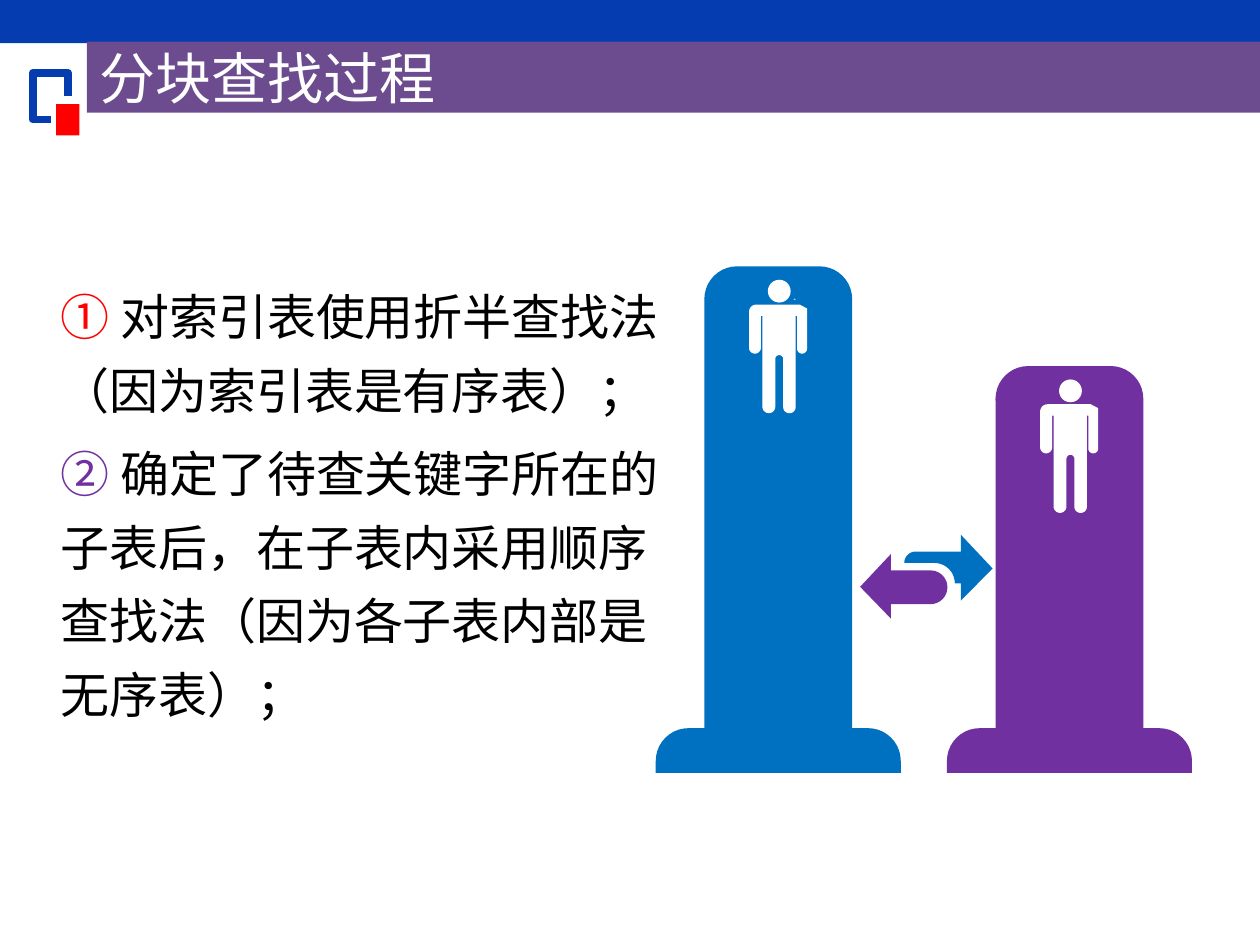
import math
from dataclasses import dataclass

from pptx import Presentation
from pptx import util as u
from pptx.dml.color import RGBColor
from pptx.enum import shapes, text


@dataclass(frozen=True)
class Theme:
    font: str = "Calibri"
    title_size: int = 32
    body_size: int = 28
    mark_width: float = 4.5
    line_spacing: float = 1.25
    paragraph_gap: float = 5.6
    navy: str = "053CAF"
    red: str = "FF0000"
    plum: str = "6C4C8F"
    blue: str = "0070C0"
    purple: str = "7030A0"
    white: str = "FFFFFF"
    black: str = "000000"


def rounded(corners, steps=10):
    """Turn (x, y, radius) corners into outline points with quarter arcs."""
    points = []
    for i, (x, y, radius) in enumerate(corners):
        if not radius:
            points.append((x, y))
            continue
        ends = []
        for nx, ny, _ in (corners[i - 1], corners[(i + 1) % len(corners)]):
            part = radius / math.dist((x, y), (nx, ny))
            ends.append((x + (nx - x) * part, y + (ny - y) * part))
        (sx, sy), (ex, ey) = ends
        for step in range(steps + 1):
            angle = math.pi / 2 * step / steps
            c, s = math.cos(angle), math.sin(angle)
            points.append((sx + ex - x + (x - ex) * c + (x - sx) * s,
                           sy + ey - y + (y - ey) * c + (y - sy) * s))
    return points


class SlideBuilder:
    def __init__(self, slide, theme):
        self.slide = slide
        self.theme = theme

    def paint(self, shape, color):
        shape.shadow.inherit = False
        shape.fill.solid()
        shape.fill.fore_color.rgb = RGBColor.from_string(color)
        shape.line.fill.background()

    def style_run(self, run, size, color):
        run.font.name = self.theme.font
        run.font.size = u.Pt(size)
        run.font.color.rgb = RGBColor.from_string(color)

    def preset(self, kind, left, top, width, height, color):
        shape = self.slide.shapes.add_shape(
            kind, u.Cm(left), u.Cm(top), u.Cm(width), u.Cm(height))
        self.paint(shape, color)
        return shape

    def rectangle(self, *box, color):
        return self.preset(shapes.MSO_SHAPE.RECTANGLE, *box, color)

    def circle(self, left, top, diameter, color):
        return self.preset(shapes.MSO_SHAPE.OVAL, left, top, diameter, diameter, color)

    def trace(self, points, close):
        emu = [(u.Cm(x), u.Cm(y)) for x, y in points]
        builder = self.slide.shapes.build_freeform(*emu[0])
        builder.add_line_segments(emu[1:], close=close)
        return builder.convert_to_shape()

    def outline(self, corners, color, left=0, top=0):
        points = [(left + x, top + y) for x, y in rounded(corners)]
        self.paint(self.trace(points, True), color)

    def stroke(self, points, color, width):
        shape = self.trace(points, False)
        shape.shadow.inherit = False
        shape.fill.background()
        shape.line.color.rgb = RGBColor.from_string(color)
        shape.line.width = u.Pt(width)

    def title(self, wording, *box):
        band = self.rectangle(*box, color=self.theme.plum)
        frame = band.text_frame
        frame.text = wording
        frame.vertical_anchor = text.MSO_ANCHOR.MIDDLE
        frame.paragraphs[0].alignment = text.PP_ALIGN.LEFT
        self.style_run(frame.paragraphs[0].runs[0], self.theme.title_size, self.theme.white)

    def steps(self, items, left, top, width, height):
        box = self.slide.shapes.add_textbox(
            u.Cm(left), u.Cm(top), u.Cm(width), u.Cm(height))
        frame = box.text_frame
        frame.word_wrap = True
        frame.auto_size = text.MSO_AUTO_SIZE.SHAPE_TO_FIT_TEXT
        for i, (number, color, wording) in enumerate(items):
            paragraph = frame.add_paragraph() if i else frame.paragraphs[0]
            paragraph.line_spacing = self.theme.line_spacing
            if i:
                paragraph.space_before = u.Pt(self.theme.paragraph_gap)
            for part, shade in ((number, color), (wording, self.theme.black)):
                run = paragraph.add_run()
                run.text = part
                self.style_run(run, self.theme.body_size, shade)

    def tower(self, left, top, color):
        base_top, bottom, width, inset, radius = 14.68, 15.58, 4.94, 0.98, 0.66
        right = left + width
        self.outline([
            (left, bottom, 0), (left, base_top, radius),
            (left + inset, base_top, 0), (left + inset, top, radius),
            (right - inset, top, radius), (right - inset, base_top, 0),
            (right, base_top, radius), (right, bottom, 0),
        ], color)

    def person(self, left, top):
        self.circle(left + 0.38, top, 0.46, self.theme.white)
        self.outline([
            # Shoulders and right arm
            (0, 0, 0.15), (1.02, 0, 0), (1.17, 0.08, 0),
            (1.17, 0.99, 0.1), (0.97, 0.99, 0.1), (0.97, 0.23, 0),
            # Legs
            (0.94, 0.23, 0), (0.94, 2.19, 0.12), (0.69, 2.19, 0.12),
            (0.69, 1.02, 0.08), (0.53, 1.02, 0.08),
            (0.53, 2.19, 0.13), (0.27, 2.19, 0.13), (0.27, 0.23, 0),
            # Left arm
            (0.24, 0.23, 0), (0.24, 0.99, 0.12), (0, 0.99, 0.12),
        ], self.theme.white, left, top + 0.5)


def main():
    theme = Theme()
    deck = Presentation()
    deck.slide_width, deck.slide_height = u.Cm(25.4), u.Cm(19.05)
    page = SlideBuilder(deck.slides.add_slide(deck.slide_layouts[6]), theme)

    # Header band and corner mark
    page.rectangle(0, 0, 25.4, 0.87, color=theme.navy)
    page.stroke([(1.02, 2.41), (0.66, 2.41), (0.66, 1.47), (1.37, 1.47), (1.37, 1.93)],
                theme.navy, theme.mark_width)
    page.rectangle(1.13, 2.1, 0.47, 0.63, color=theme.red)
    page.title("分块查找过程", 1.75, 0.84, 23.65, 1.43)

    # Search steps
    page.steps([
        ("① ", theme.red, "对索引表使用折半查找法（因为索引表是有序表）；"),
        ("② ", theme.purple,
         "确定了待查关键字所在的子表后，在子表内采用顺序查找法（因为各子表内部是无序表）；"),
    ], 0.97, 5.36, 12.78, 9.35)

    # Towers with their figures
    for left, top, color in ((13.22, 5.37, theme.blue), (19.09, 7.38, theme.purple)):
        page.tower(left, top, color)
        page.person(left + 1.88, top + 0.27)
    page.outline([(16, 6.04, 0), (16.04, 6.04, 0), (16.02, 6.02, 0)], theme.white)

    # Interlocking arrows
    page.outline([
        (17.34, 11.83, 0), (17.96, 11.17, 0), (17.96, 11.5, 0),
        (19.1, 11.5, 0.34), (19.1, 12.18, 0.34),
        (17.96, 12.18, 0), (17.96, 12.47, 0),
    ], theme.purple)
    page.outline([
        (18.23, 11.35, 0), (18.23, 11.12, 0.23), (19.37, 11.12, 0),
        (19.37, 10.78, 0), (20.01, 11.46, 0), (19.37, 12.11, 0),
        (19.37, 11.76, 0), (19.25, 11.76, 0), (19.25, 11.35, 0.41),
    ], theme.blue)

    deck.save("out.pptx")


if __name__ == "__main__":
    main()
